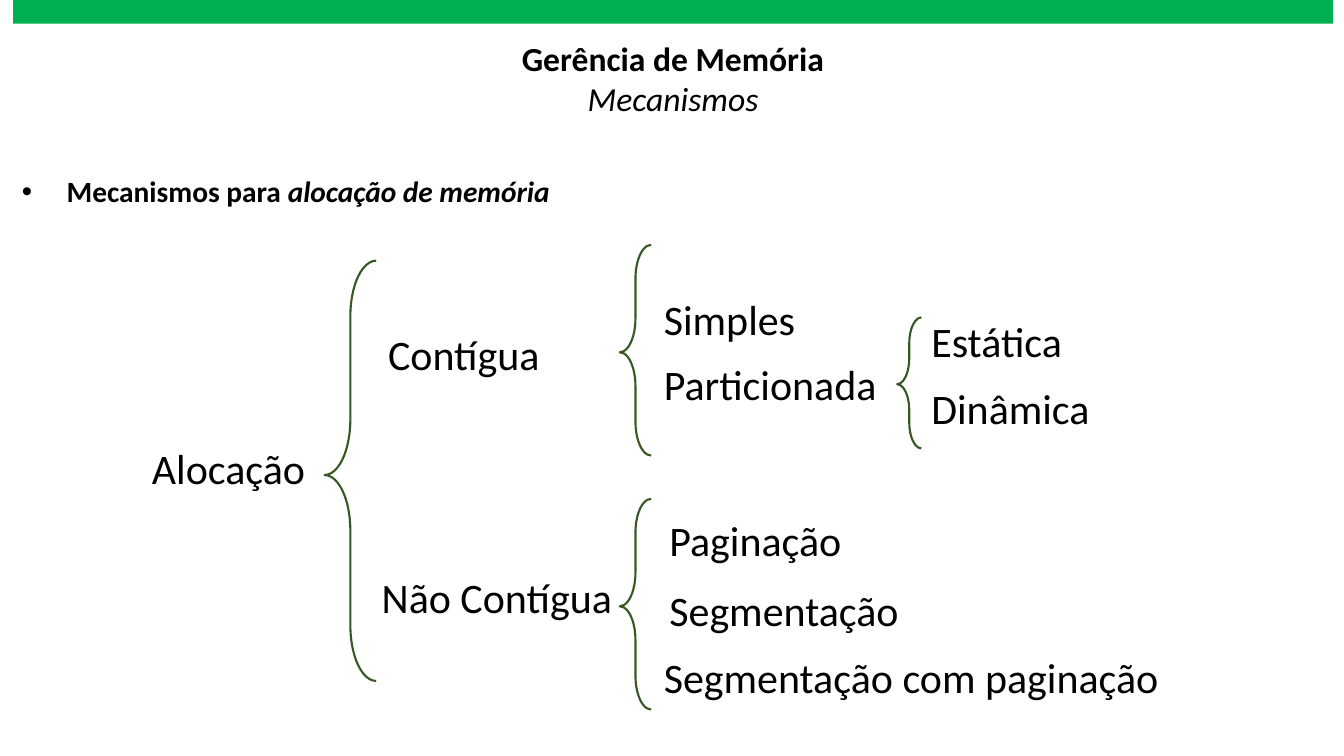
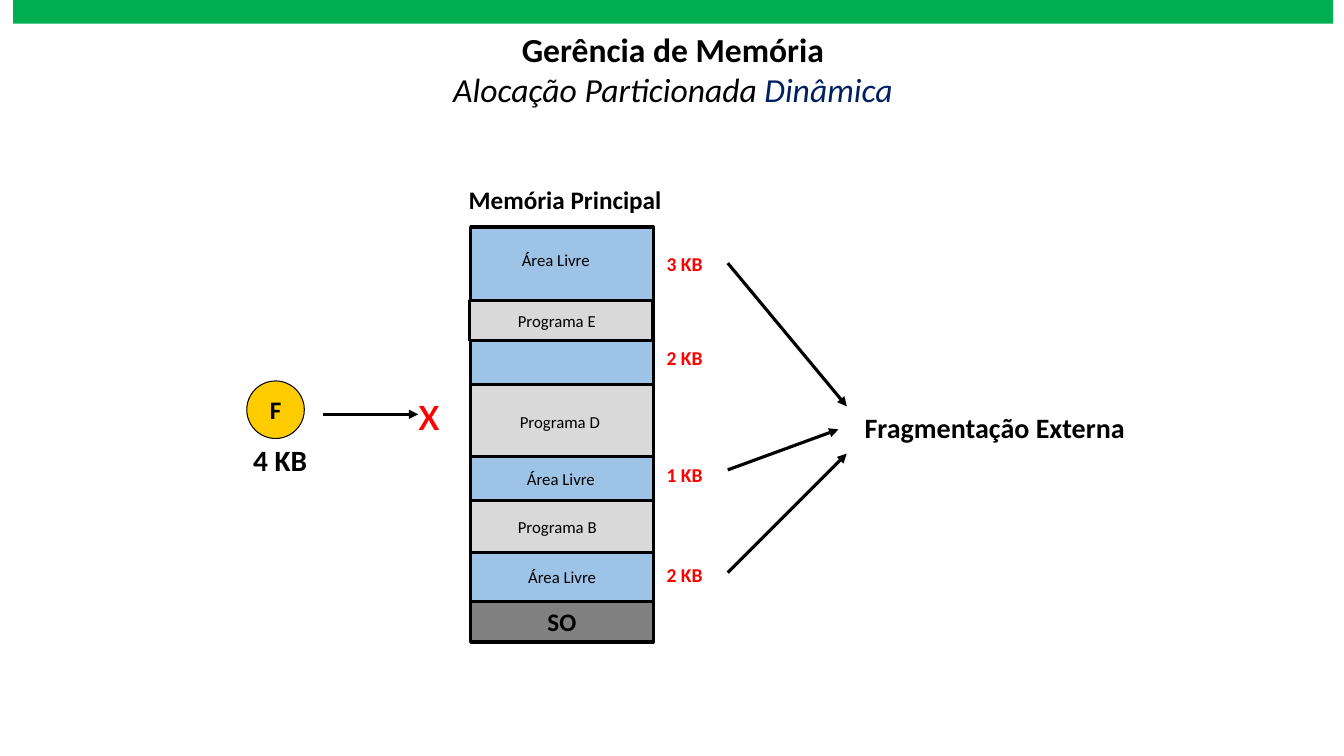
from lxml import etree
from pptx import Presentation
from pptx.dml.color import RGBColor
from pptx.enum import shapes, text
from pptx.oxml import ns
from pptx.util import Cm, Pt

FONT = "Calibri"
BLACK, WHITE, RED, NAVY = "000000", "FFFFFF", "FF0000", "002060"
GREEN, MOSS, GOLD = "00B050", "385723", "FFCC00"
BLUE, PALE, GREY = "9DC3E6", "D9D9D9", "808080"
KIND = shapes.MSO_SHAPE
ALIGN = text.PP_ALIGN


def form(slide, kind, box, fill=None, line=None, width=0):
    """Add a flat preset shape; box is left, top, width, height in cm."""
    shape = slide.shapes.add_shape(kind, *map(Cm, box))
    shape.shadow.inherit = False
    if fill:
        shape.fill.solid()
        shape.fill.fore_color.rgb = RGBColor.from_string(fill)
    else:
        shape.fill.background()
    if line:
        shape.line.color.rgb = RGBColor.from_string(line)
        shape.line.width = Pt(width)
    else:
        shape.line.fill.background()
    return shape


def write(shape, words, size, bold=False, hue=BLACK, wrap=False, mark=None):
    """Set the first paragraph of a shape and return it."""
    frame = shape.text_frame
    frame.word_wrap = wrap
    fit = text.MSO_AUTO_SIZE
    frame.auto_size = fit.NONE if wrap else fit.SHAPE_TO_FIT_TEXT
    para = frame.paragraphs[0]
    para.alignment = ALIGN.LEFT
    para.add_run().text = words
    if mark:
        props = para._p.get_or_add_pPr()
        props.set("marL", str(Cm(1.13)))
        props.set("indent", str(-Cm(1.13)))
        etree.SubElement(props, ns.qn("a:buFont"), typeface="Arial")
        etree.SubElement(props, ns.qn("a:buChar"), char=mark)
    para.font.name = FONT
    para.font.size = Pt(size)
    para.font.bold = bold
    para.font.color.rgb = RGBColor.from_string(hue)
    return para


deck = Presentation()
deck.slide_width, deck.slide_height = Cm(33.87), Cm(19.05)

# Shared title and band
heads = [
    (0.83, [("Mecanismos", BLACK)]),
    (0.6, [("Alocação Particionada ", BLACK), ("Dinâmica", NAVY)]),
]
pages = []
for top, parts in heads:
    slide = deck.slides.add_slide(deck.slide_layouts[6])
    pages.append(slide)
    title = slide.shapes.add_textbox(Cm(7.26), Cm(top), Cm(19.4), Cm(2.31))
    head = write(title, "Gerência de Memória", 24, True, wrap=True)
    sub = title.text_frame.add_paragraph()
    head.alignment = sub.alignment = ALIGN.CENTER
    sub.font.name, sub.font.size, sub.font.italic = FONT, Pt(24), True
    for words, hue in parts:
        run = sub.add_run()
        run.text = words
        run.font.color.rgb = RGBColor.from_string(hue)
    form(slide, KIND.RECTANGLE, (0.33, 0, 33.27, 0.6), GREEN)
tree, memory = pages

# Allocation tree
topic = tree.shapes.add_textbox(Cm(0.3), Cm(4.34), Cm(33.3), Cm(1.07))
para = write(topic, "Mecanismos para ", 21, True, wrap=True, mark="•")
para.line_spacing = 0.9
run = para.add_run()
run.text = "alocação de memória"
run.font.italic = True

terms = [
    ("Alocação", 3.58, 11.02, 4.45),
    ("Contígua", 9.53, 8.15, 4.42),
    ("Não Contígua", 9.37, 14.26, 6.38),
    ("Simples", 16.48, 7.26, 3.99),
    ("Particionada", 16.48, 8.89, 5.94),
    ("Estática", 23.22, 7.8, 3.84),
    ("Dinâmica", 23.22, 9.51, 4.57),
    ("Paginação", 16.62, 12.82, 5.05),
    ("Segmentação", 16.62, 14.58, 6.55),
    ("Segmentação com paginação", 16.48, 16.28, 13.36),
]
for words, left, top, width in terms:
    box = form(tree, KIND.RECTANGLE, (left, top, width, 1.55), WHITE)
    write(box, words, 30)

braces = [
    (8.18, 6.57, 1.3, 10.59),
    (15.62, 6.17, 0.79, 5.31),
    (15.62, 12.57, 0.79, 5.31),
    (22.61, 8, 0.61, 3.3),
]
for box in braces:
    brace = form(tree, KIND.LEFT_BRACE, box, WHITE, MOSS, 1.5)
    brace.adjustments[0] = 1.08
    brace.adjustments[1] = 0.51

# Memory column: free area below, occupied blocks above it
blocks = [
    (11.86, 5.72, 9.5, BLUE),
    (11.86, 15.16, 1.02, GREY),
    (11.86, 12.62, 1.3, PALE),
    (11.84, 7.57, 1.02, PALE),
    (11.86, 9.7, 1.8, PALE),
]
for left, top, height, fill in blocks:
    block = form(memory, KIND.RECTANGLE, (left, top, 4.6, height),
                 fill, BLACK, 2.25)
    if fill == GREY:
        system = block
disc = form(memory, KIND.OVAL, (6.22, 9.6, 1.45, 1.45), GOLD, BLACK, 0.75)
for shape, words in [(system, "SO"), (disc, "F")]:
    para = write(shape, words, 18, True, wrap=True)
    para.alignment = ALIGN.CENTER
    frame = shape.text_frame
    frame.vertical_anchor = text.MSO_ANCHOR.MIDDLE
    frame.margin_left = frame.margin_right = 0
    frame.margin_top = frame.margin_bottom = 0

tags = [
    ("Área Livre", 12.9, 6.17, 2.24, None),
    ("Programa E", 12.8, 7.7, 2.49, PALE),
    ("Programa D", 12.85, 10.24, 2.57, None),
    ("Área Livre", 13.03, 11.68, 2.24, None),
    ("Programa B", 12.8, 12.88, 2.51, PALE),
    ("Área Livre", 13.06, 14.15, 2.24, None),
]
for words, left, top, width, fill in tags:
    tag = form(memory, KIND.RECTANGLE, (left, top, width, 0.77), fill)
    write(tag, words, 12)

notes = [
    ("Memória Principal", 11.56, 4.52, 5.49, 1.02, 18, True, BLACK),
    ("4 KB", 6.13, 11.02, 1.88, 1.14, 21, True, BLACK),
    ("x", 10.31, 9.45, 1.07, 1.8, 36, False, RED),
    ("Fragmentação Externa", 21.54, 10.23, 7.11, 1.12, 20, True, BLACK),
]
sizes = [("3 KB", 6.22), ("2 KB", 8.59), ("1 KB", 11.53), ("2 KB", 14.07)]
notes += [(words, 16.55, top, 1.42, 0.86, 14, True, RED)
          for words, top in sizes]
for words, left, top, width, height, size, bold, hue in notes:
    box = memory.shapes.add_textbox(Cm(left), Cm(top), Cm(width), Cm(height))
    write(box, words, size, bold, hue)

arrows = [
    (8.13, 10.44, 10.54, 10.44),
    (18.34, 6.63, 21.34, 10.24),
    (18.34, 11.84, 21.13, 10.82),
    (18.34, 14.43, 21.34, 11.43),
]
for ends in arrows:
    arrow = memory.shapes.add_connector(shapes.MSO_CONNECTOR.STRAIGHT,
                                        *map(Cm, ends))
    arrow.line.color.rgb = RGBColor.from_string(BLACK)
    arrow.line.width = Pt(2.25)
    etree.SubElement(arrow.line._get_or_add_ln(), ns.qn("a:tailEnd"),
                     type="triangle")
    etree.SubElement(arrow._element.spPr, ns.qn("a:effectLst"))

deck.save("out.pptx")
